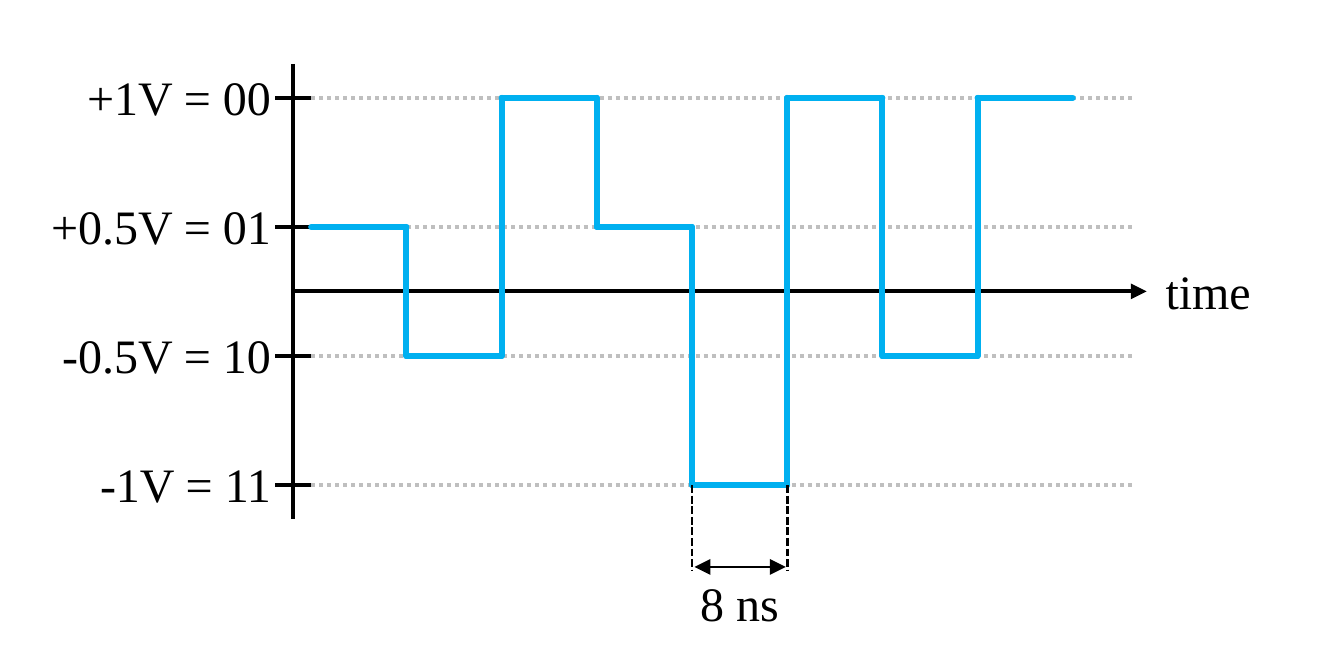
from dataclasses import dataclass
from itertools import pairwise

from lxml import etree
from pptx import Presentation
from pptx.dml.color import RGBColor
from pptx.enum.dml import MSO_LINE
from pptx.enum.shapes import MSO_CONNECTOR
from pptx.enum.text import MSO_AUTO_SIZE, PP_ALIGN
from pptx.oxml.ns import qn
from pptx.slide import Slide
from pptx.util import Pt

STRAIGHT = MSO_CONNECTOR.STRAIGHT
DOTTED, DASHED = MSO_LINE.ROUND_DOT, MSO_LINE.SQUARE_DOT
LEFT, RIGHT = PP_ALIGN.LEFT, PP_ALIGN.RIGHT
GROW = MSO_AUTO_SIZE.SHAPE_TO_FIT_TEXT

BLACK = RGBColor(0x00, 0x00, 0x00)
GREY = RGBColor(0xBF, 0xBF, 0xBF)
BLUE = RGBColor(0x00, 0xB0, 0xF0)

# Lengths in points
TOP_LEVEL, LEVEL_STEP = 36.7, 48.4
SIGNAL_START, SYMBOL_WIDTH = 116.7, 35.7
AXIS_X, AXIS_Y = 110, 109.3
GRID_END = 425
TEXT_HEIGHT = 29

LEVEL_NAMES = ("+1V = 00", "+0.5V = 01", "-0.5V = 10", "-1V = 11")
SYMBOLS = (1, 2, 0, 1, 3, 0, 2, 0)
MARKED_SYMBOL = 4


@dataclass(frozen=True)
class Stroke:
    color: RGBColor
    width: float
    dash: MSO_LINE | None = None
    head: bool = False
    tail: bool = False
    round_cap: bool = False


@dataclass(frozen=True)
class Label:
    text: str
    left: float
    top: float
    width: float
    align: PP_ALIGN = LEFT


GRID = Stroke(GREY, 1.5, dash=DOTTED)
AXIS = Stroke(BLACK, 1.5)
TIME_ARROW = Stroke(BLACK, 1.5, tail=True)
SIGNAL = Stroke(BLUE, 2.25, round_cap=True)
GUIDE = Stroke(BLACK, 1, dash=DASHED)
DURATION = Stroke(BLACK, 0.5, head=True, tail=True)


def level_y(level: int) -> float:
    return TOP_LEVEL + level * LEVEL_STEP


def symbol_x(index: int) -> float:
    return SIGNAL_START + index * SYMBOL_WIDTH


def draw_line(slide: Slide, x1: float, y1: float, x2: float, y2: float,
              stroke: Stroke) -> None:
    segment = slide.shapes.add_connector(STRAIGHT, Pt(x1), Pt(y1), Pt(x2), Pt(y2))
    segment.line.color.rgb = stroke.color
    segment.line.width = Pt(stroke.width)
    if stroke.dash is not None:
        segment.line.dash_style = stroke.dash
    properties = segment._element.spPr
    outline = properties.find(qn("a:ln"))
    if stroke.round_cap:
        outline.set("cap", "rnd")
    for end, wanted in (("a:headEnd", stroke.head), ("a:tailEnd", stroke.tail)):
        if wanted:
            etree.SubElement(outline, qn(end), type="triangle")
    etree.SubElement(properties, qn("a:effectLst"))


def draw_label(slide: Slide, label: Label) -> None:
    frame = slide.shapes.add_textbox(
        Pt(label.left), Pt(label.top), Pt(label.width), Pt(TEXT_HEIGHT)).text_frame
    for name, value in {"word_wrap": True, "auto_size": GROW}.items():
        setattr(frame, name, value)
    paragraph = frame.paragraphs[0]
    paragraph.alignment = label.align
    run = paragraph.add_run()
    run.text = label.text
    for name, value in {"name": "Times New Roman", "size": Pt(18)}.items():
        setattr(run.font, name, value)
    run.font.color.rgb = BLACK


def draw_axes(slide: Slide) -> None:
    levels = range(len(LEVEL_NAMES))
    # Level grid
    for level in levels:
        draw_line(slide, SIGNAL_START, level_y(level), GRID_END, level_y(level), GRID)
    # Time and voltage axes
    draw_line(slide, AXIS_X, AXIS_Y, 430, AXIS_Y, TIME_ARROW)
    draw_label(slide, Label("time", 430, 94.5, 63))
    draw_line(slide, AXIS_X, 24, AXIS_X, 194.5, AXIS)
    # Ticks and their names
    for level, name in enumerate(LEVEL_NAMES):
        y = level_y(level)
        draw_line(slide, 103.2, y, SIGNAL_START, y, AXIS)
        draw_label(slide, Label(name, 11.5, y - 15, 97.2, RIGHT))


def draw_signal(slide: Slide) -> None:
    # Held levels
    for index, level in enumerate(SYMBOLS):
        y = level_y(level)
        draw_line(slide, symbol_x(index), y, symbol_x(index + 1), y, SIGNAL)
    # Transitions
    for index, (before, after) in enumerate(pairwise(SYMBOLS), start=1):
        x = symbol_x(index)
        draw_line(slide, x, level_y(before), x, level_y(after), SIGNAL)


def draw_duration(slide: Slide) -> None:
    start, end = symbol_x(MARKED_SYMBOL), symbol_x(MARKED_SYMBOL + 1)
    bottom = level_y(SYMBOLS[MARKED_SYMBOL])
    for x in (start, end):
        draw_line(slide, x, bottom, x, bottom + 32.4, GUIDE)
    draw_line(slide, start + 1, 212.6, end - 0.5, 212.6, DURATION)
    draw_label(slide, Label("8 ns", 255.5, 211.7, 85.7))


def main() -> None:
    presentation = Presentation()
    presentation.slide_width, presentation.slide_height = Pt(504), Pt(252)
    slide = presentation.slides.add_slide(presentation.slide_layouts[6])
    draw_axes(slide)
    draw_signal(slide)
    draw_duration(slide)
    presentation.save("out.pptx")


if __name__ == "__main__":
    main()
